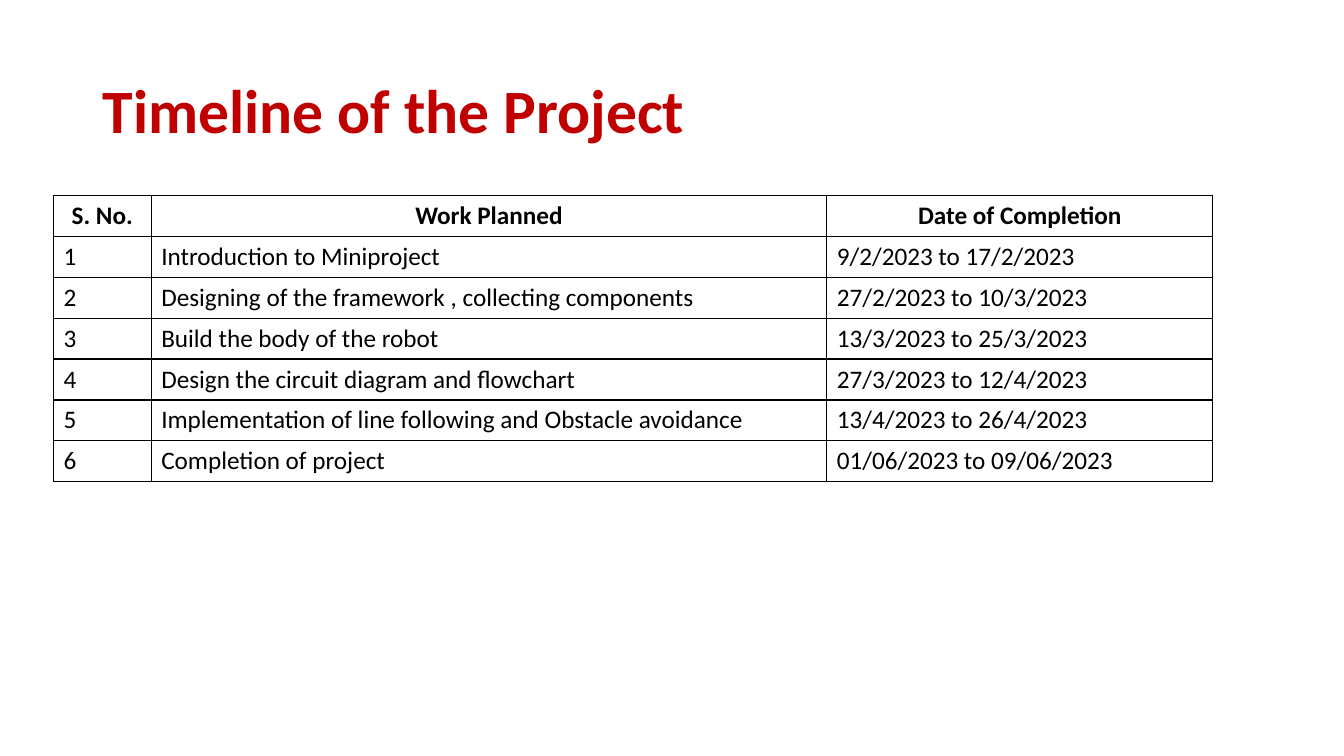
from dataclasses import dataclass

from lxml import etree
from pptx import Presentation
from pptx.dml.color import RGBColor
from pptx.enum import text
from pptx.oxml import ns
from pptx.util import Inches, Pt


@dataclass(frozen=True)
class Theme:
    font: str = "Calibri"
    title_size: int = 44
    table_size: int = 18
    title: str = "C00000"
    ink: str = "000000"
    paper: str = "FFFFFF"
    border: float = 1


THEME = Theme()
HEADER = ("S. No.", "Work Planned", "Date of Completion")
STAGES = [
    ("Introduction to Miniproject", "9/2/2023 to 17/2/2023"),
    ("Designing of the framework , collecting components", "27/2/2023 to 10/3/2023"),
    ("Build the body of the robot", "13/3/2023 to 25/3/2023"),
    ("Design the circuit diagram and flowchart", "27/3/2023 to 12/4/2023"),
    ("Implementation of line following and Obstacle avoidance", "13/4/2023 to 26/4/2023"),
    ("Completion of project", "01/06/2023 to 09/06/2023"),
]
COLUMN_WIDTHS = (0.97, 6.7, 3.83)


def write(p, content, size, color, bold):
    r = p.add_run()
    r.text = content
    font_format = {"name": THEME.font, "size": Pt(size), "bold": bold}
    for name, value in font_format.items():
        setattr(r.font, name, value)
    r.font.color.rgb = RGBColor.from_string(color)


def add_borders(cell):
    tc_pr = cell._tc.get_or_add_tcPr()
    for side in ("lnL", "lnR", "lnT", "lnB"):
        line = etree.SubElement(tc_pr, ns.qn(f"a:{side}"), w=str(Pt(THEME.border)))
        fill = etree.SubElement(line, ns.qn("a:solidFill"))
        etree.SubElement(fill, ns.qn("a:srgbClr"), val=THEME.ink)


def add_title(s, content, left, top, width, height):
    title = s.shapes.title
    box = {"left": left, "top": top, "width": width, "height": height}
    for name, value in box.items():
        setattr(title, name, Inches(value))
    tf = title.text_frame
    frame_format = {
        "word_wrap": True,
        "auto_size": text.MSO_AUTO_SIZE.NONE,
        "vertical_anchor": text.MSO_ANCHOR.MIDDLE,
    }
    for name, value in frame_format.items():
        setattr(tf, name, value)
    p = tf.paragraphs[0]
    p.alignment = text.PP_ALIGN.LEFT
    p.line_spacing = 0.9
    write(p, content, THEME.title_size, THEME.title, True)


def add_timeline(s, left, top, width, height):
    rows = [HEADER] + [(str(i), *stage) for i, stage in enumerate(STAGES, 1)]
    box = [Inches(v) for v in (left, top, width, height)]
    table = s.shapes.add_table(len(rows), len(HEADER), *box).table
    table.horz_banding = False
    for column, share in zip(table.columns, COLUMN_WIDTHS):
        column.width = Inches(width * share / sum(COLUMN_WIDTHS))
    for i, row in enumerate(rows):
        is_header = i == 0
        for j, content in enumerate(row):
            cell = table.cell(i, j)
            add_borders(cell)
            cell.fill.solid()
            cell.fill.fore_color.rgb = RGBColor.from_string(THEME.paper)
            p = cell.text_frame.paragraphs[0]
            p.alignment = text.PP_ALIGN.CENTER if is_header else text.PP_ALIGN.LEFT
            write(p, content, THEME.table_size, THEME.ink, is_header)


def main():
    prs = Presentation()
    prs.slide_width, prs.slide_height = Inches(13.33), Inches(7.5)
    s = prs.slides.add_slide(prs.slide_layouts[5])
    add_title(s, "Timeline of the Project", 0.92, 0.4, 11.5, 1.45)
    add_timeline(s, 0.53, 1.94, 11.5, 2.84)
    prs.save("out.pptx")


if __name__ == "__main__":
    main()
